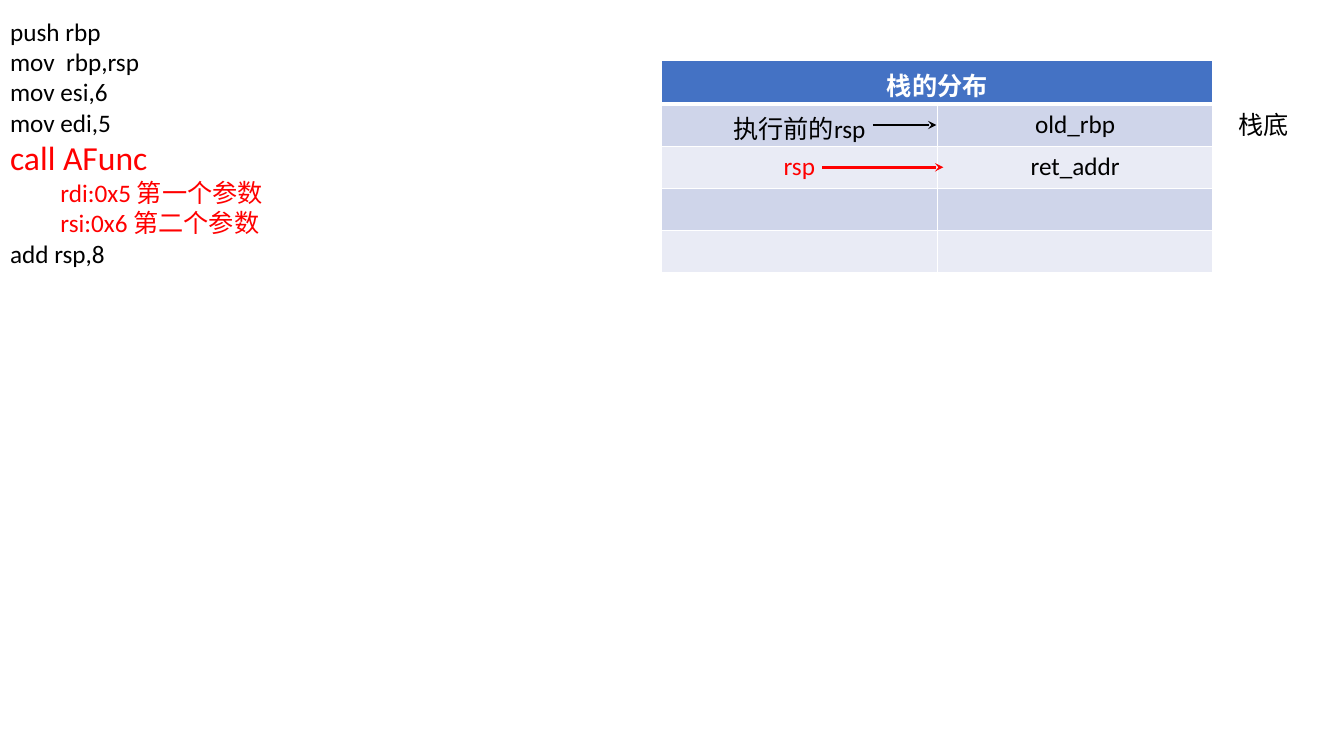
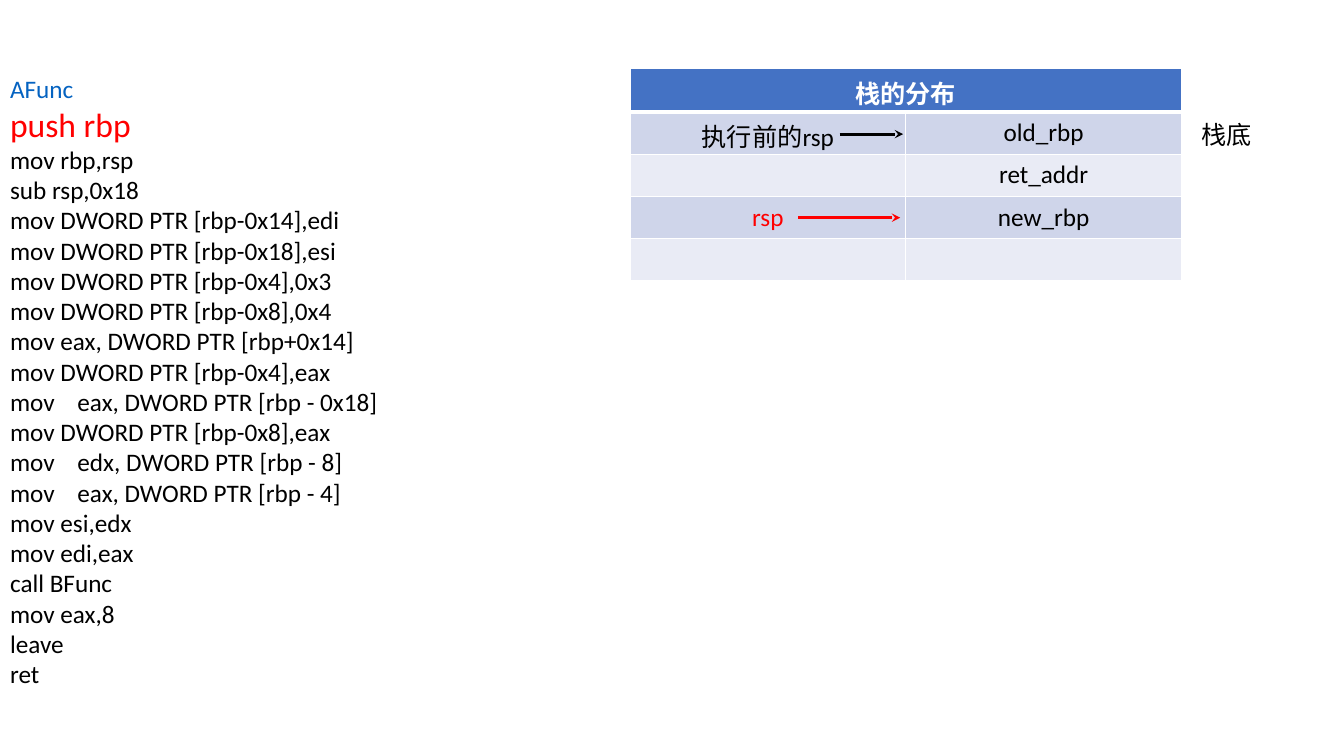
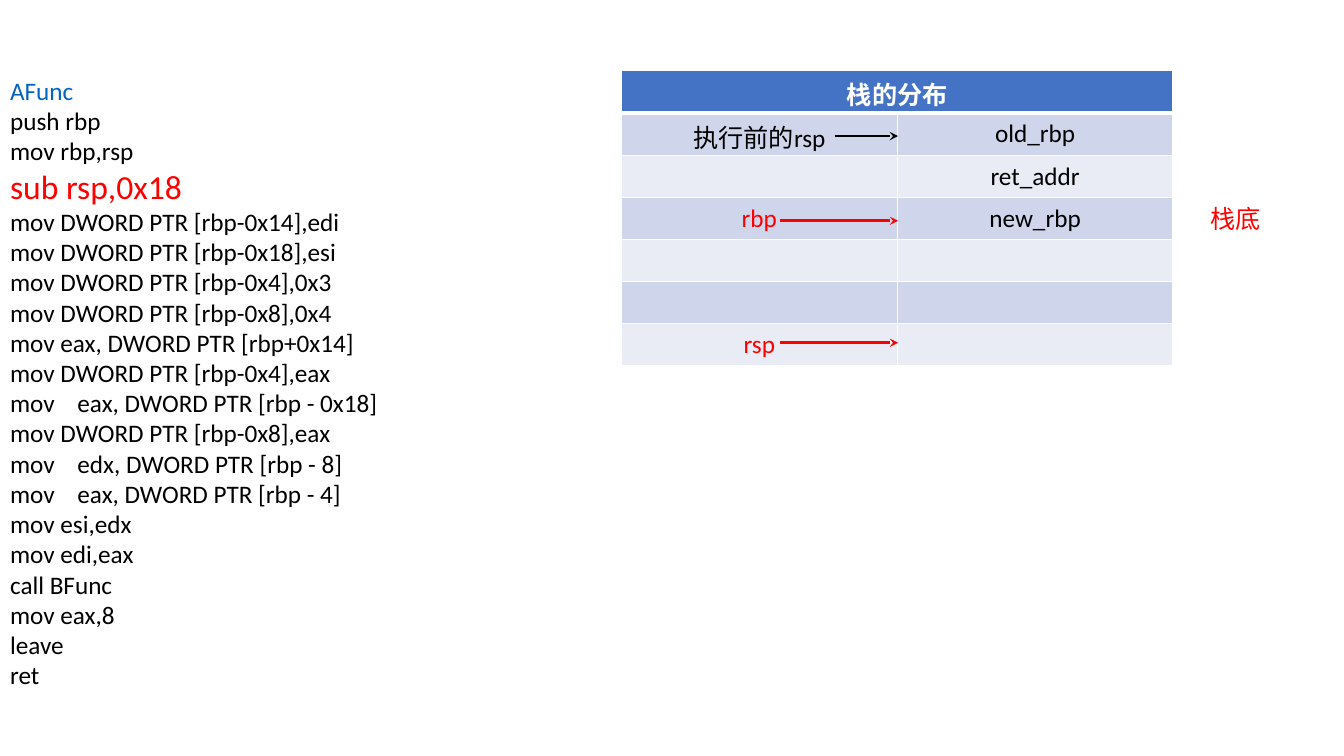
from dataclasses import dataclass

from lxml import etree
from pptx import Presentation
from pptx.dml.color import RGBColor
from pptx.enum import shapes, text
from pptx.oxml import ns
from pptx.util import Pt

# Shared look
BLACK = RGBColor(0x00, 0x00, 0x00)
WHITE = RGBColor(0xFF, 0xFF, 0xFF)
RED = RGBColor(0xFF, 0x00, 0x00)
LINK_BLUE = RGBColor(0x05, 0x63, 0xC1)
HEADER_BLUE = RGBColor(0x44, 0x72, 0xC4)
BANDS = (RGBColor(0xCF, 0xD5, 0xEA), RGBColor(0xE9, 0xEB, 0xF5))
FONT = "Calibri"
BODY_SIZE, CURRENT_SIZE = 18, 24
LINE_FACTOR = 1.2
CODE_WIDTH = 361.4
COLUMN_WIDTH, HEADER_HEIGHT, ROW_HEIGHT = 197, 30.9, 30.1
OLD_RSP = "执行前的rsp"


@dataclass(frozen=True)
class CodeLine:
    words: str
    color: RGBColor = BLACK
    size: int = BODY_SIZE
    indent: float = 0


@dataclass(frozen=True)
class Arrow:
    start: float
    end: float
    y: float
    color: RGBColor = RED


@dataclass(frozen=True)
class StackStep:
    code: list[CodeLine]
    code_top: float
    code_height: float
    stack_left: float
    stack_top: float
    frames: list[tuple[str, str]]  # (pointer, stored value)
    bottom_left: float
    bottom_top: float
    bottom_color: RGBColor
    arrows: list[Arrow]


AFUNC_BODY = (
    "push rbp",
    "mov rbp,rsp",
    "sub rsp,0x18",
    "mov DWORD PTR [rbp-0x14],edi",
    "mov DWORD PTR [rbp-0x18],esi",
    "mov DWORD PTR [rbp-0x4],0x3",
    "mov DWORD PTR [rbp-0x8],0x4",
    "mov eax, DWORD PTR [rbp+0x14]",
    "mov DWORD PTR [rbp-0x4],eax",
    "mov    eax, DWORD PTR [rbp - 0x18]",
    "mov DWORD PTR [rbp-0x8],eax",
    "mov    edx, DWORD PTR [rbp - 8]",
    "mov    eax, DWORD PTR [rbp - 4]",
    "mov esi,edx",
    "mov edi,eax",
    "call BFunc",
    "mov eax,8",
    "leave",
    "ret",
)


def current(words: str) -> CodeLine:
    return CodeLine(words, RED, CURRENT_SIZE)


def afunc_at(instruction: str) -> list[CodeLine]:
    """The AFunc listing with the running instruction emphasised."""
    body = [current(w) if w == instruction else CodeLine(w) for w in AFUNC_BODY]
    return [CodeLine("AFunc", LINK_BLUE), *body]


STEPS = (
    StackStep(
        code=[
            CodeLine("push rbp"),
            CodeLine("mov  rbp,rsp"),
            CodeLine("mov esi,6"),
            CodeLine("mov edi,5"),
            current("call AFunc"),
            CodeLine("rdi:0x5 第一个参数", RED, indent=36),
            CodeLine("rsi:0x6 第二个参数", RED, indent=36),
            CodeLine("add rsp,8"),
        ],
        code_top=7.9, code_height=532,
        stack_left=472.5, stack_top=43.4,
        frames=[(OLD_RSP, "old_rbp"), ("rsp", "ret_addr"), ("", ""), ("", "")],
        bottom_left=877.7, bottom_top=74.2, bottom_color=BLACK,
        arrows=[Arrow(587.5, 673.9, 119.5), Arrow(623.5, 668.9, 89.3, BLACK)],
    ),
    StackStep(
        code=afunc_at("push rbp"),
        code_top=49, code_height=443.5,
        stack_left=450, stack_top=49.2,
        frames=[(OLD_RSP, "old_rbp"), ("", "ret_addr"), ("rsp", "new_rbp"), ("", "")],
        bottom_left=851, bottom_top=82, bottom_color=BLACK,
        arrows=[Arrow(570.2, 643, 155.5), Arrow(599.8, 645.1, 95.8, BLACK)],
    ),
    StackStep(
        code=afunc_at("sub rsp,0x18"),
        code_top=50, code_height=443.5,
        stack_left=443.9, stack_top=50,
        frames=[(OLD_RSP, "old_rbp"), ("", "ret_addr"), ("rbp", "new_rbp"),
                ("", ""), ("", ""), ("rsp", "")],
        bottom_left=857.5, bottom_top=141.8, bottom_color=RED,
        arrows=[Arrow(557.3, 641.5, 244.8), Arrow(557.3, 641.5, 157.7),
                Arrow(596.2, 641.5, 97.2, BLACK)],
    ),
)


def add_run(paragraph, words: str, color: RGBColor,
            size: int = BODY_SIZE, bold: bool = False) -> None:
    run = paragraph.add_run()
    run.text = words
    run.font.name = FONT
    run.font.size = Pt(size)
    run.font.bold = bold
    run.font.color.rgb = color


def write_code(listing, step: StackStep) -> None:
    listing.left, listing.top = Pt(0), Pt(step.code_top)
    listing.width, listing.height = Pt(CODE_WIDTH), Pt(step.code_height)
    frame = listing.text_frame
    frame.word_wrap = True
    frame.auto_size = text.MSO_AUTO_SIZE.NONE
    frame.vertical_anchor = text.MSO_ANCHOR.TOP
    for number, line in enumerate(step.code):
        paragraph = frame.add_paragraph() if number else frame.paragraphs[0]
        paragraph.space_before = paragraph.space_after = Pt(0)
        paragraph.line_spacing = Pt(line.size * LINE_FACTOR)
        # No bullet, indent only where the line asks for it
        properties = paragraph._p.get_or_add_pPr()
        properties.set("marL", str(Pt(line.indent)))
        properties.set("indent", "0")
        etree.SubElement(properties, ns.qn("a:buNone"))
        add_run(paragraph, line.words, line.color, line.size)


def set_borders(cell, top: float, bottom: float) -> None:
    properties = cell._tc.get_or_add_tcPr()
    widths = {"a:lnL": 1, "a:lnR": 1, "a:lnT": top, "a:lnB": bottom}
    for position, (tag, width) in enumerate(widths.items()):
        border = etree.Element(ns.qn(tag), w=str(Pt(width)))
        fill = etree.SubElement(border, ns.qn("a:solidFill"))
        etree.SubElement(fill, ns.qn("a:srgbClr"), val=str(WHITE))
        properties.insert(position, border)


def fill_cell(cell, words: str, color: RGBColor, fill: RGBColor,
              bold: bool = False) -> None:
    cell.fill.solid()
    cell.fill.fore_color.rgb = fill
    cell.vertical_anchor = text.MSO_ANCHOR.MIDDLE
    paragraph = cell.text_frame.paragraphs[0]
    paragraph.alignment = text.PP_ALIGN.CENTER
    if words:
        add_run(paragraph, words, color, bold=bold)
    else:
        paragraph.font.size = Pt(BODY_SIZE)


def add_stack(slide, step: StackStep) -> None:
    count = len(step.frames)
    stack = slide.shapes.add_table(
        count + 1, 2, Pt(step.stack_left), Pt(step.stack_top),
        Pt(2 * COLUMN_WIDTH), Pt(HEADER_HEIGHT + count * ROW_HEIGHT)).table
    for column in stack.columns:
        column.width = Pt(COLUMN_WIDTH)
    for number, row in enumerate(stack.rows):
        row.height = Pt(ROW_HEIGHT if number else HEADER_HEIGHT)

    # Header across both columns
    stack.cell(0, 0).merge(stack.cell(0, 1))
    fill_cell(stack.cell(0, 0), "栈的分布", WHITE, HEADER_BLUE, bold=True)
    for cell in stack.rows[0].cells:
        set_borders(cell, top=1, bottom=3)

    # Banded frames
    for number, (pointer, value) in enumerate(step.frames, start=1):
        band = BANDS[(number - 1) % 2]
        pointer_color = BLACK if pointer == OLD_RSP else RED
        fill_cell(stack.cell(number, 0), pointer, pointer_color, band)
        fill_cell(stack.cell(number, 1), value, BLACK, band)
        for cell in stack.rows[number].cells:
            set_borders(cell, top=3 if number == 1 else 1, bottom=1)


def add_bottom_label(slide, step: StackStep) -> None:
    label = slide.shapes.add_textbox(
        Pt(step.bottom_left), Pt(step.bottom_top), Pt(51.1), Pt(28.8))
    label.text_frame.word_wrap = False
    label.text_frame.auto_size = text.MSO_AUTO_SIZE.SHAPE_TO_FIT_TEXT
    add_run(label.text_frame.paragraphs[0], "栈底", step.bottom_color)


def add_arrow(slide, arrow: Arrow) -> None:
    pointer = slide.shapes.add_connector(
        shapes.MSO_CONNECTOR.STRAIGHT,
        Pt(arrow.start), Pt(arrow.y), Pt(arrow.end), Pt(arrow.y))
    pointer.line.color.rgb = arrow.color
    pointer.line.width = Pt(2)
    etree.SubElement(pointer.line._get_or_add_ln(), ns.qn("a:tailEnd"), type="stealth")
    etree.SubElement(pointer._element.spPr, ns.qn("a:effectLst"))


def add_step(deck, step: StackStep) -> None:
    slide = deck.slides.add_slide(deck.slide_layouts.get_by_name("Title and Content"))
    # These slides carry no title
    title = slide.shapes.title._element
    title.getparent().remove(title)
    write_code(slide.placeholders[1], step)
    add_bottom_label(slide, step)
    add_stack(slide, step)
    for arrow in step.arrows:
        add_arrow(slide, arrow)


def main() -> None:
    deck = Presentation()
    deck.slide_width, deck.slide_height = Pt(960), Pt(540)
    for step in STEPS:
        add_step(deck, step)
    deck.save("out.pptx")


if __name__ == "__main__":
    main()
